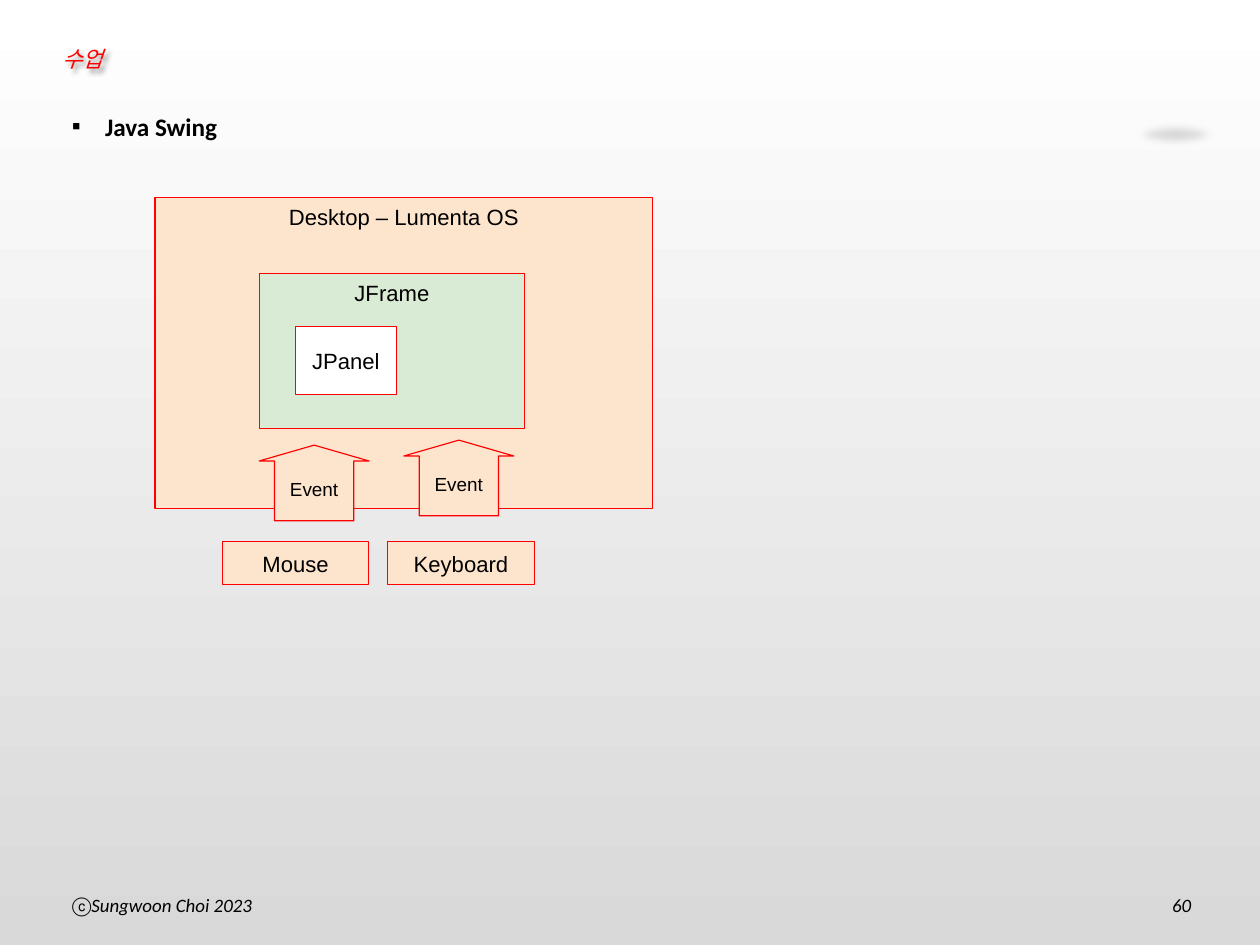
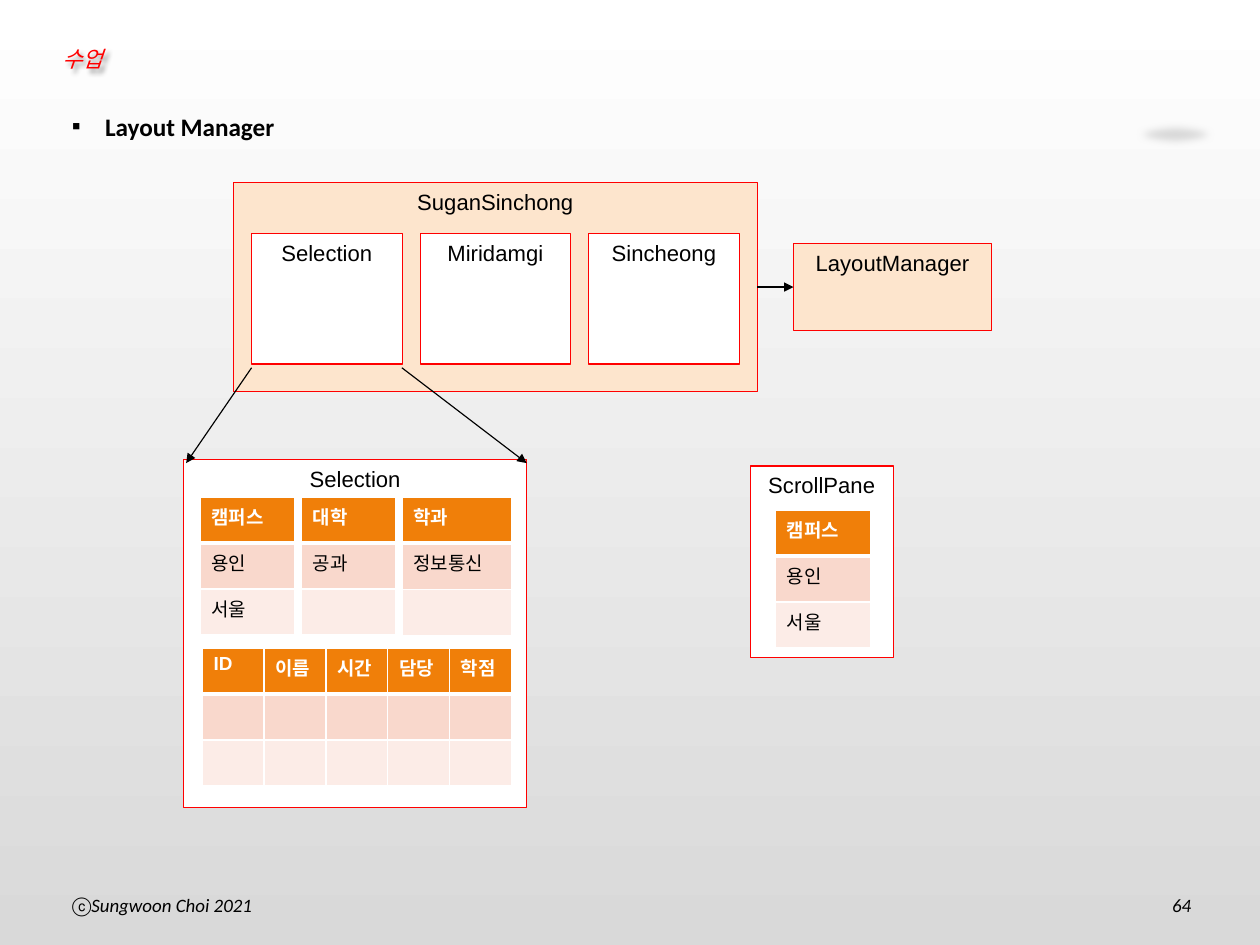
from lxml.etree import SubElement
from pptx import Presentation
from pptx.dml.color import RGBColor
from pptx.enum.shapes import MSO_CONNECTOR as CONNECTOR, MSO_SHAPE as SHAPE
from pptx.enum.text import MSO_ANCHOR as ANCHOR, PP_ALIGN as ALIGN
from pptx.oxml import parse_xml
from pptx.oxml.ns import nsdecls, qn
from pptx.util import Pt

RED, BLACK, WHITE = "FF0000", "000000", "FFFFFF"
PEACH, GREEN, GREY = "FDE5CD", "D9EAD5", "D9D9D9"
ROW_FILLS = ["F07F09", "F9D8CC", "FCECE7"]
ROW_HEIGHT = 29.2
PANEL_INSETS = (8, 4, 8, 4)

LESSON = "수업"
SWING = dict(heading="Java Swing", author="Sungwoon Choi 2023", page="60")
LAYOUT = dict(heading="Layout Manager", author="Sungwoon Choi 2021", page="64")

WINDOWS = [
    ("Desktop – Lumenta OS", (98.4, 125.3, 315.6, 197.3), PEACH, ANCHOR.TOP),
    ("JFrame", (164.4, 173.5, 168.5, 98.6), GREEN, ANCHOR.TOP),
    ("JPanel", (187.3, 207, 64.1, 43.2), WHITE, ANCHOR.MIDDLE),
]
DEVICES = [("Mouse", 141.1), ("Keyboard", 246)]
EVENTS = [(164.4, 282.4), (256.2, 279.2)]

TABS = ["Selection", "Miridamgi", "Sincheong"]
TAB_LEFT, TAB_TOP, TAB_WIDTH, TAB_HEIGHT, TAB_STEP = 159.6, 148.2, 95.5, 82.8, 106.9
ZOOM_LINES = [((159.6, 233.3), (118.1, 293.8)), ((254.9, 233.3), (334.1, 293.8))]

CAMPUSES = [["캠퍼스"], ["용인"], ["서울"]]
TABLES = [
    (CAMPUSES, 127, 315.2, 60.2),
    ([["대학"], ["공과"], [""]], 191.1, 315.2, 60.2),
    ([["학과"], ["정보통신"], [""]], 255.1, 315.5, 69.3),
    ([["ID", "이름", "시간", "담당", "학점"], [""] * 5, [""] * 5], 128.3, 411.1, 39.25),
    (CAMPUSES, 491.8, 323.5, 60.5),
]


def color(code):
    return RGBColor.from_string(code)


def points(values):
    return [Pt(value) for value in values]


def style_text(paragraph, size, font="Arial", ink=BLACK, bold=False, italic=False):
    for run in paragraph.runs:
        run.font.size, run.font.name = Pt(size), font
        run.font.bold, run.font.italic = bold, italic
        run.font.color.rgb = color(ink)


def add_label(slide, text, box, size, insets=PANEL_INSETS, bullet=None, hanging=0,
              align=ALIGN.LEFT, anchor=ANCHOR.TOP, **style):
    label = slide.shapes.add_textbox(*points(box))
    frame = label.text_frame
    frame.word_wrap, frame.vertical_anchor = True, anchor
    (frame.margin_left, frame.margin_top,
     frame.margin_right, frame.margin_bottom) = points(insets)
    frame.text = text
    paragraph = frame.paragraphs[0]
    paragraph.alignment = align
    if bullet:
        properties = paragraph._p.get_or_add_pPr()
        properties.set("marL", str(Pt(hanging)))
        properties.set("indent", str(-Pt(hanging)))
        SubElement(properties, qn("a:buFont"), typeface="Arial")
        SubElement(properties, qn("a:buChar"), char=bullet)
    style_text(paragraph, size, **style)
    return label


def add_block(slide, text, box, fill=PEACH, anchor=ANCHOR.TOP, kind=SHAPE.RECTANGLE, size=14):
    block = slide.shapes.add_shape(kind, *points(box))
    block.shadow.inherit = False
    block.fill.solid()
    block.fill.fore_color.rgb = color(fill)
    block.line.color.rgb = color(RED)
    block.line.width = Pt(0.75)
    frame = block.text_frame
    frame.text, frame.vertical_anchor = text, anchor
    frame.paragraphs[0].alignment = ALIGN.CENTER
    style_text(frame.paragraphs[0], size)
    return block


def add_arrow(slide, start, end):
    arrow = slide.shapes.add_connector(CONNECTOR.STRAIGHT, *points(start + end))
    arrow.line.color.rgb = color(BLACK)
    arrow.line.width = Pt(0.75)
    SubElement(arrow.line._get_or_add_ln(), qn("a:tailEnd"), type="triangle")
    SubElement(arrow._element.spPr, qn("a:effectLst"))
    return arrow


def add_grid(slide, rows, left, top, column_width):
    columns = len(rows[0])
    box = (left, top, column_width * columns, ROW_HEIGHT * len(rows))
    table = slide.shapes.add_table(len(rows), columns, *points(box)).table
    for column in table.columns:
        column.width = Pt(column_width)
    for r, row in enumerate(rows):
        table.rows[r].height = Pt(ROW_HEIGHT)
        for c, text in enumerate(row):
            cell = table.cell(r, c)
            cell.text = text
            style_text(cell.text_frame.paragraphs[0], 12,
                       ink=BLACK if r else WHITE, bold=r == 0)
            cell.fill.solid()
            cell.fill.fore_color.rgb = color(ROW_FILLS[r])
            for position, side in enumerate("LRTB"):
                width = 3 if (r, side) in [(0, "B"), (1, "T")] else 1
                cell._tc.get_or_add_tcPr().insert(position, parse_xml(
                    f'<a:ln{side} {nsdecls("a")} w="{Pt(width)}"><a:solidFill>'
                    f'<a:srgbClr val="{WHITE}"/></a:solidFill></a:ln{side}>'))


def set_background(master):
    fill = master.background.fill
    fill.gradient()
    fill.gradient_angle = 270
    for stop, code, position in zip(fill.gradient_stops, (WHITE, GREY), (0, 1)):
        stop.color.rgb, stop.position = color(code), position


def add_page(deck, heading, author, page):
    slide = deck.slides.add_slide(deck.slide_layouts[6])
    glow = slide.shapes.add_shape(SHAPE.OVAL, *points((714.4, 76.5, 62.6, 18)))
    glow.fill.solid()
    glow.fill.fore_color.rgb = color(GREY)
    glow.line.fill.background()
    glow._element.spPr.append(parse_xml(
        f'<a:effectLst {nsdecls("a")}><a:softEdge rad="{Pt(5)}"/></a:effectLst>'))
    title = add_label(slide, LESSON, (32.6, 23.5, 409, 27.4), 14, insets=(7.2, 3.6, 7.2, 3.6),
                      anchor=ANCHOR.MIDDLE, ink=RED, italic=True)
    title._element.spPr.append(parse_xml(
        f'<a:effectLst {nsdecls("a")}><a:outerShdw blurRad="{Pt(3)}" dist="{Pt(3)}" '
        f'dir="2700000"><a:srgbClr val="{BLACK}"><a:alpha val="43000"/></a:srgbClr>'
        '</a:outerShdw></a:effectLst>'))
    add_label(slide, heading, (37.7, 66.6, 355, 494.6), 16, bullet="▪", hanging=21,
              font="Calibri", bold=True)
    add_label(slide, author, (37.7, 562.8, 140.4, 23.8), 12, bullet="ⓒ",
              font="Calibri", italic=True)
    add_label(slide, page, (715.5, 562.8, 48.2, 18), 12, align=ALIGN.RIGHT,
              font="Calibri", italic=True)
    return slide


def build_swing(deck):
    slide = add_page(deck, **SWING)
    for text, box, fill, anchor in WINDOWS:
        add_block(slide, text, box, fill, anchor)
    for text, left in DEVICES:
        add_block(slide, text, (left, 343.8, 92.9, 27.2), anchor=ANCHOR.MIDDLE)
    for left, top in EVENTS:
        event = add_block(slide, "Event", (left, top, 69.8, 48),
                          anchor=ANCHOR.MIDDLE, kind=SHAPE.UP_ARROW, size=12)
        event.adjustments[0], event.adjustments[1] = 0.72, 0.21


def build_layout(deck):
    slide = add_page(deck, **LAYOUT)
    add_block(slide, "ScrollPane", (475.9, 295.6, 90.7, 121.3), WHITE)
    application = add_block(slide, "SuganSinchong", (147.9, 115.9, 332.6, 132.4))
    for i, text in enumerate(TABS):
        add_block(slide, text, (TAB_LEFT + i * TAB_STEP, TAB_TOP, TAB_WIDTH, TAB_HEIGHT), WHITE)
    manager = add_block(slide, "LayoutManager", (503.3, 154.4, 125.8, 55.4))
    link = add_arrow(slide, (480.5, 182.1), (503.3, 182.1))
    link.begin_connect(application, 3)
    link.end_connect(manager, 1)
    add_block(slide, "Selection", (116.6, 291.6, 217.4, 220.8), WHITE)
    for table in TABLES:
        add_grid(slide, *table)
    for start, end in ZOOM_LINES:
        add_arrow(slide, start, end)


def main():
    deck = Presentation()
    deck.slide_width, deck.slide_height = Pt(799.25), Pt(599.5)
    set_background(deck.slide_master)
    build_swing(deck)
    build_layout(deck)
    deck.save("out.pptx")


if __name__ == "__main__":
    main()
